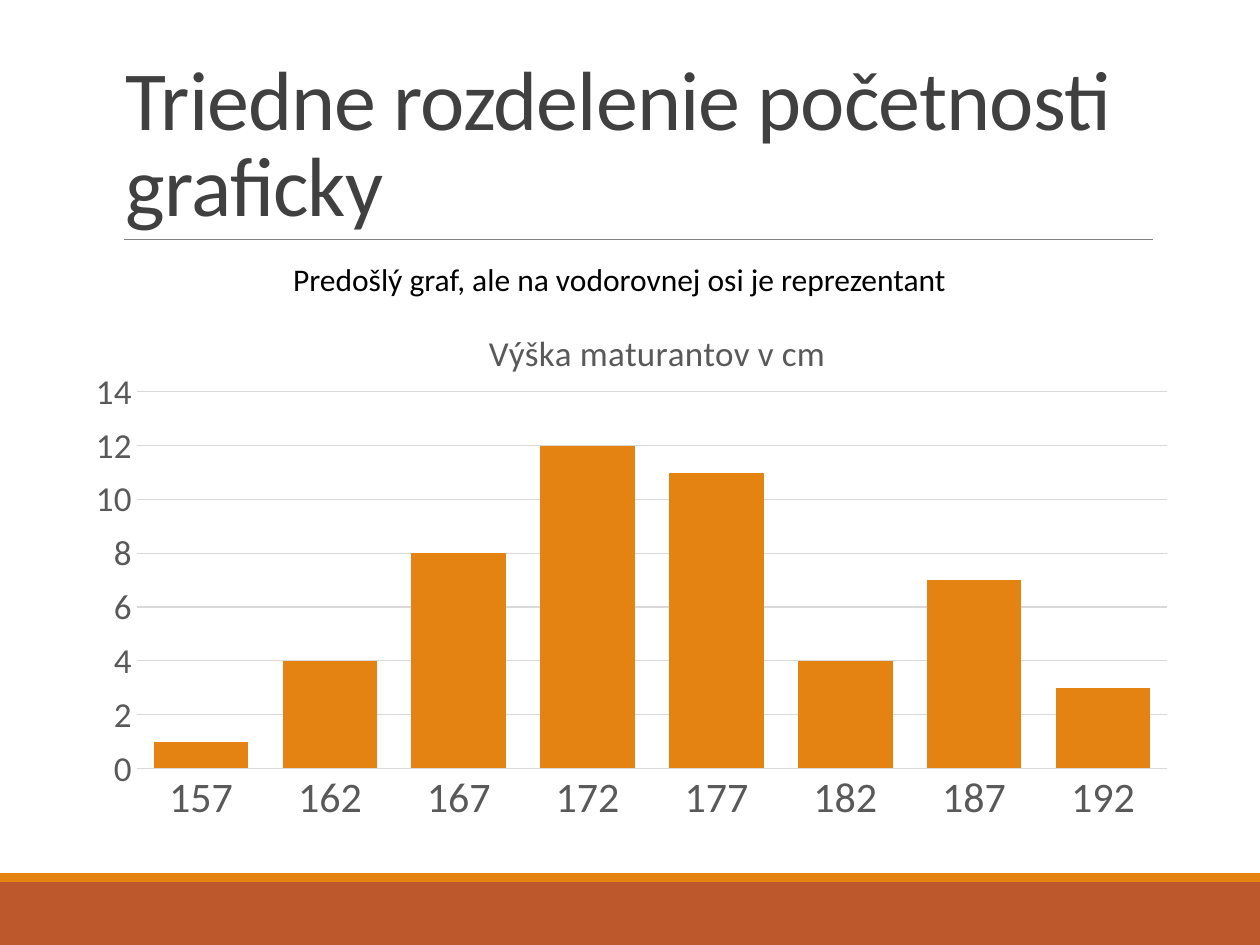
from lxml.etree import SubElement
from pptx import Presentation
from pptx.chart.data import CategoryChartData
from pptx.dml.color import RGBColor
from pptx.enum.chart import XL_CHART_TYPE, XL_TICK_MARK
from pptx.enum.shapes import MSO_CONNECTOR, MSO_SHAPE
from pptx.enum.text import MSO_ANCHOR
from pptx.oxml import parse_xml
from pptx.oxml.ns import nsdecls, qn
from pptx.util import Cm, Pt

FONT = "Calibri"
HUES = {"title": "404040", "text": "000000", "label": "595959", "grid": "D9D9D9",
        "rule": "808080", "bar": "E48312", "foot": "BD582C"}
COUNTS = {"157": 1, "162": 4, "167": 8, "172": 12,
          "177": 11, "182": 4, "187": 7, "192": 3}


def color(name):
    return RGBColor.from_string(HUES[name])


def style(font, size, hue):
    font.name = FONT
    font.size = Pt(size)
    font.bold = False
    font.color.rgb = color(hue)


def stroke(line, hue, width):
    line.color.rgb = color(hue)
    line.width = Pt(width)


def add_text(slide, text, left, top, width, height, size=18, hue="text",
             anchor=MSO_ANCHOR.TOP, lead=1.0, track=0):
    box = slide.shapes.add_textbox(Cm(left), Cm(top), Cm(width), Cm(height))
    frame = box.text_frame
    frame.word_wrap = True
    frame.vertical_anchor = anchor
    para = frame.paragraphs[0]
    para.line_spacing = lead
    run = para.add_run()
    run.text = text
    style(run.font, size, hue)
    if track:
        run.font._element.set("spc", str(track))


def add_band(slide, top, height, hue):
    band = slide.shapes.add_shape(MSO_SHAPE.RECTANGLE, 0, Cm(top), Cm(25.4), Cm(height))
    band.shadow.inherit = False
    band.fill.solid()
    band.fill.fore_color.rgb = color(hue)
    band.line.fill.background()


def add_rule(slide, left, right, top):
    rule = slide.shapes.add_connector(
        MSO_CONNECTOR.STRAIGHT, Cm(left), Cm(top), Cm(right), Cm(top))
    stroke(rule.line, "rule", 0.5)
    SubElement(rule._element.spPr, qn("a:effectLst"))


def make_layout(left, top, width=None, height=None):
    """Return a manual chart layout, in fractions of the chart."""
    inner = '<c:layoutTarget val="inner"/>' if width else ""
    sizes = f'<c:w val="{width}"/><c:h val="{height}"/>' if width else ""
    return parse_xml(
        f'<c:layout {nsdecls("c")}><c:manualLayout>{inner}'
        '<c:xMode val="edge"/><c:yMode val="edge"/>'
        f'<c:x val="{left}"/><c:y val="{top}"/>{sizes}'
        '</c:manualLayout></c:layout>')


def set_layout(parent, layout, index):
    for old in parent.findall(qn("c:layout")):
        parent.remove(old)
    parent.insert(index, layout)


def style_axes(chart):
    cat, val = chart.category_axis, chart.value_axis
    for axis, size in ((cat, 24), (val, 20)):
        axis.major_tick_mark = axis.minor_tick_mark = XL_TICK_MARK.NONE
        style(axis.tick_labels.font, size, "label")
    stroke(cat.format.line, "grid", 0.75)
    val.format.line.fill.background()
    val.minimum_scale, val.maximum_scale, val.major_unit = 0, 14, 2
    stroke(val.major_gridlines.format.line, "grid", 0.75)


def add_bars(slide):
    data = CategoryChartData()
    data.categories = list(COUNTS)
    data.add_series("Series 1", list(COUNTS.values()))
    chart = slide.shapes.add_chart(
        XL_CHART_TYPE.COLUMN_CLUSTERED, Cm(1.27), Cm(6.12), Cm(22.86), Cm(12.19), data).chart
    style(chart.font, 10, "text")
    chart.has_legend = False

    title = chart.chart_title
    para = title.text_frame.paragraphs[0]
    run = para.add_run()
    run.text = "Výška maturantov v cm"
    style(run.font, 20, "label")
    title.include_in_layout = False
    set_layout(title._element, make_layout(0.37, 0.03), 1)

    plot = chart.plots[0]
    plot.vary_by_categories = False
    plot.gap_width, plot.overlap = 36, -27
    fill = plot.series[0].format.fill
    fill.solid()
    fill.fore_color.rgb = color("bar")
    style_axes(chart)
    area = chart._chartSpace.chart.plotArea
    set_layout(area, make_layout(0.065, 0.146, 0.909, 0.623), 0)


def main():
    deck = Presentation()
    deck.slide_width, deck.slide_height = Cm(25.4), Cm(19.05)
    slide = deck.slides.add_slide(deck.slide_layouts[6])
    add_band(slide, 17.78, 1.27, "foot")
    add_band(slide, 17.6, 0.18, "bar")
    add_rule(slide, 2.49, 23.24, 4.83)
    add_text(slide, "Triedne rozdelenie početnosti graficky", 2.29, 0.79, 20.95, 4.04,
             size=48, hue="title", anchor=MSO_ANCHOR.BOTTOM, lead=0.85, track=-50)
    add_bars(slide)
    add_text(slide, "Predošlý graf, ale na vodorovnej osi je reprezentant",
             5.66, 5.11, 14.07, 1.02)
    deck.save("out.pptx")


if __name__ == "__main__":
    main()
